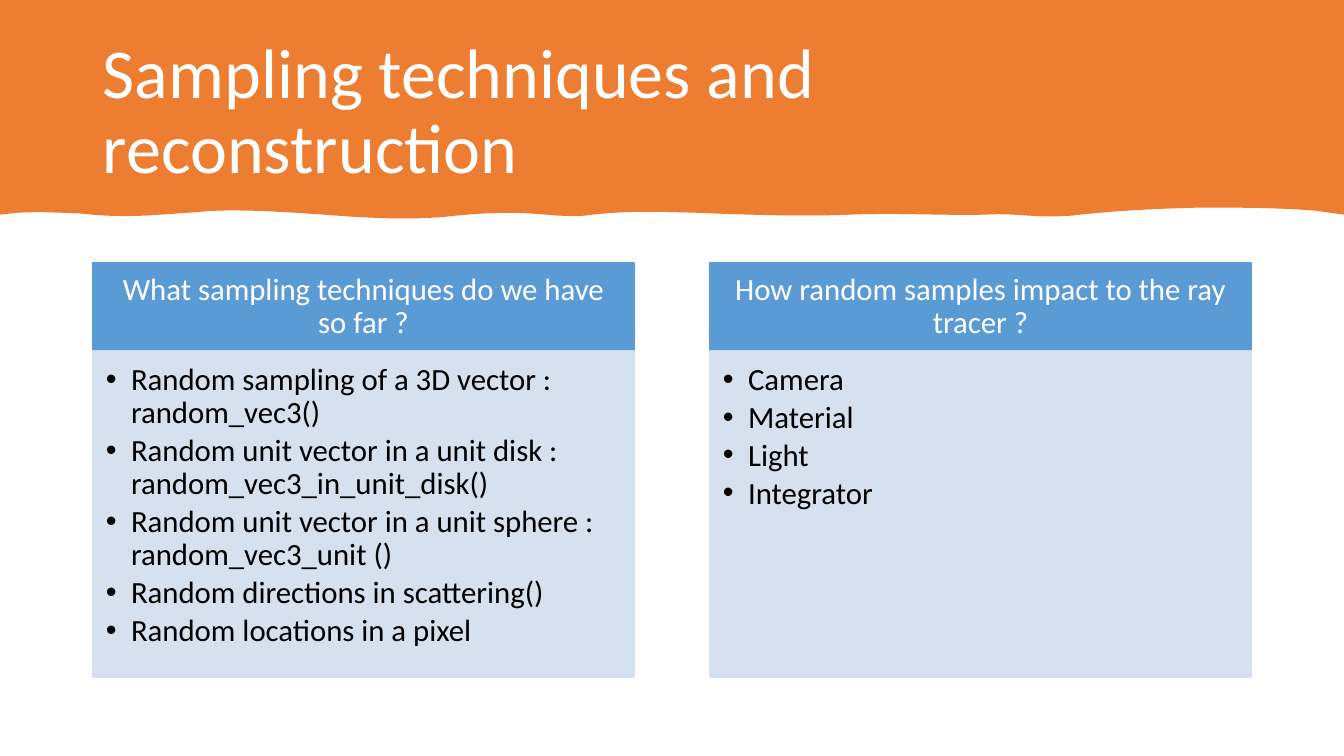
from dataclasses import dataclass
from lxml.etree import SubElement
from pptx import Presentation
from pptx.dml.color import RGBColor as RGB
from pptx.enum.shapes import MSO_SHAPE as SHAPE
from pptx.enum.text import MSO_ANCHOR as ANCHOR, MSO_AUTO_SIZE as AUTO, PP_ALIGN as ALIGN
from pptx.oxml.ns import qn
from pptx.util import Inches, Pt

TITLE = "Sampling techniques and reconstruction"
PANELS = [
    ("What sampling techniques do we have so far ?", [
        "Random sampling of a 3D vector : random_vec3()",
        "Random unit vector in a unit disk : random_vec3_in_unit_disk()",
        "Random unit vector in a unit sphere : random_vec3_unit ()",
        "Random directions in scattering()",
        "Random locations in a pixel",
    ]),
    ("How random samples impact to the ray tracer ?", [
        "Camera", "Material", "Light", "Integrator",
    ]),
]
SLIDE_W, SLIDE_H, BAND_H = 13.33, 7.5, 2.17
BAND_CORNERS = [(0, 0), (13.33, 0), (13.33, 2.13), (13.04, 2.09)]
WAVE = [
    ((12.66, 2.06), (12.28, 2.06), (11.9, 2.06)),
    ((11.48, 2.07), (11.05, 2.09), (10.63, 2.14)),
    ((10.49, 2.15), (10.35, 2.15), (10.21, 2.14)),
    ((10.07, 2.13), (9.92, 2.12), (9.77, 2.13)),
    ((9.33, 2.14), (8.88, 2.11), (8.43, 2.13)),
    ((7.91, 2.15), (7.39, 2.13), (6.87, 2.11)),
    ((6.51, 2.1), (6.16, 2.09), (5.8, 2.14)),
    ((5.67, 2.15), (5.54, 2.14), (5.41, 2.13)),
    ((5.12, 2.1), (4.82, 2.11), (4.52, 2.14)),
    ((4.18, 2.18), (3.84, 2.17), (3.49, 2.15)),
    ((3.05, 2.12), (2.61, 2.08), (2.17, 2.09)),
    ((1.97, 2.1), (1.77, 2.12), (1.58, 2.13)),
    ((1.33, 2.15), (1.07, 2.15), (0.82, 2.12)),
    ((0.61, 2.11), (0.4, 2.1), (0.18, 2.11)),
]
WAVE_END = (0, 2.13)
LEFT, TOP, WIDTH, PITCH = 0.92, 2.61, 5.37, 6.12
HEAD_H, BODY_H = 0.87, 3.24


@dataclass(frozen=True)
class Theme:
    font: str = "Calibri"
    title_size: int = 50
    text_size: int = 22
    band: RGB = RGB(0xED, 0x7D, 0x31)
    head: RGB = RGB(0x5B, 0x9B, 0xD5)
    body: RGB = RGB(0xD2, 0xDE, 0xEF)
    light: RGB = RGB(0xFF, 0xFF, 0xFF)
    dark: RGB = RGB(0, 0, 0)


THEME = Theme()


def turned(point):
    x, y = point
    return Inches(y), Inches(SLIDE_W - x)


def add_band(slide):
    anchors = BAND_CORNERS + [curve[-1] for curve in WAVE] + [WAVE_END]
    points = [turned(point) for point in anchors]
    builder = slide.shapes.build_freeform(*points[0])
    builder.add_line_segments(points[1:], close=True)
    s = builder.convert_to_shape()
    outline = next(s._element.iter(qn("a:path")))
    outline.set("w", str(Inches(BAND_H)))
    lines = outline.findall(qn("a:lnTo"))[len(BAND_CORNERS) - 1:]
    for line, curve in zip(lines, WAVE):
        line.tag = qn("a:cubicBezTo")
        for i, (x, y) in enumerate(map(turned, curve[:2])):
            line.insert(i, line.makeelement(qn("a:pt"), {"x": str(x), "y": str(y)}))
    s.left, s.top = Inches((SLIDE_W - BAND_H) / 2), Inches((BAND_H - SLIDE_W) / 2)
    s.width, s.height = Inches(BAND_H), Inches(SLIDE_W)
    s.rotation = 90
    s.shadow.inherit = False
    s.fill.solid()
    s.fill.fore_color.rgb = THEME.band
    s.line.fill.background()


def set_margins(tf, left, top, right, bottom):
    tf.margin_left, tf.margin_top = Inches(left), Inches(top)
    tf.margin_right, tf.margin_bottom = Inches(right), Inches(bottom)


def write(p, text, size, color, align=ALIGN.LEFT):
    p.alignment = align
    p.line_spacing = 0.9
    r = p.add_run()
    r.text = text
    r.font.name = THEME.font
    r.font.size = Pt(size)
    r.font.color.rgb = color


def add_bullet(p):
    pPr = p._p.get_or_add_pPr()
    pPr.set("marL", str(Inches(0.25)))
    pPr.set("indent", str(Inches(-0.25)))
    SubElement(pPr, qn("a:buFont"), typeface="Arial")
    SubElement(pPr, qn("a:buChar"), char="•")


def add_box(slide, left, top, height, color, alpha=100):
    s = slide.shapes.add_shape(SHAPE.RECTANGLE, Inches(left), Inches(top),
                               Inches(WIDTH), Inches(height))
    s.shadow.inherit = False
    s.line.width = Pt(1)
    s.text_frame.word_wrap = True
    for fill in (s.fill, s.line.fill):
        fill.solid()
        fill.fore_color.rgb = color
    if alpha < 100:
        for clr in s._element.spPr.iter(qn("a:srgbClr")):
            SubElement(clr, qn("a:alpha"), val=str(alpha * 1000))
    return s


def add_panel(slide, left, heading, items):
    tf = add_box(slide, left, TOP, HEAD_H, THEME.head).text_frame
    tf.vertical_anchor = ANCHOR.MIDDLE
    set_margins(tf, 0.17, 0.1, 0.17, 0.1)
    write(tf.paragraphs[0], heading, THEME.text_size, THEME.light, ALIGN.CENTER)

    tf = add_box(slide, left, TOP + HEAD_H, BODY_H, THEME.body, 90).text_frame
    tf.vertical_anchor = ANCHOR.TOP
    set_margins(tf, 0.13, 0.13, 0.17, 0.19)
    for i, item in enumerate(items):
        p = tf.add_paragraph() if i else tf.paragraphs[0]
        write(p, item, THEME.text_size, THEME.dark)
        p.space_after = Pt(3.3)
        add_bullet(p)


def add_title(slide):
    s = slide.shapes.title
    s.left, s.top, s.width, s.height = map(Inches, (LEFT, 0.4, 11.5, 1.45))
    tf = s.text_frame
    tf.word_wrap = True
    tf.auto_size = AUTO.NONE
    tf.vertical_anchor = ANCHOR.MIDDLE
    set_margins(tf, 0.1, 0.05, 0.5, 0.05)
    write(tf.paragraphs[0], TITLE, THEME.title_size, THEME.light)
    slide.shapes._spTree.append(s._element)


def main():
    """Build the slide on sampling techniques and save it."""
    prs = Presentation()
    prs.slide_width, prs.slide_height = Inches(SLIDE_W), Inches(SLIDE_H)
    slide = prs.slides.add_slide(prs.slide_layouts[5])
    add_band(slide)
    add_title(slide)
    for i, (heading, items) in enumerate(PANELS):
        add_panel(slide, LEFT + i * PITCH, heading, items)
    prs.save("out.pptx")


if __name__ == "__main__":
    main()
